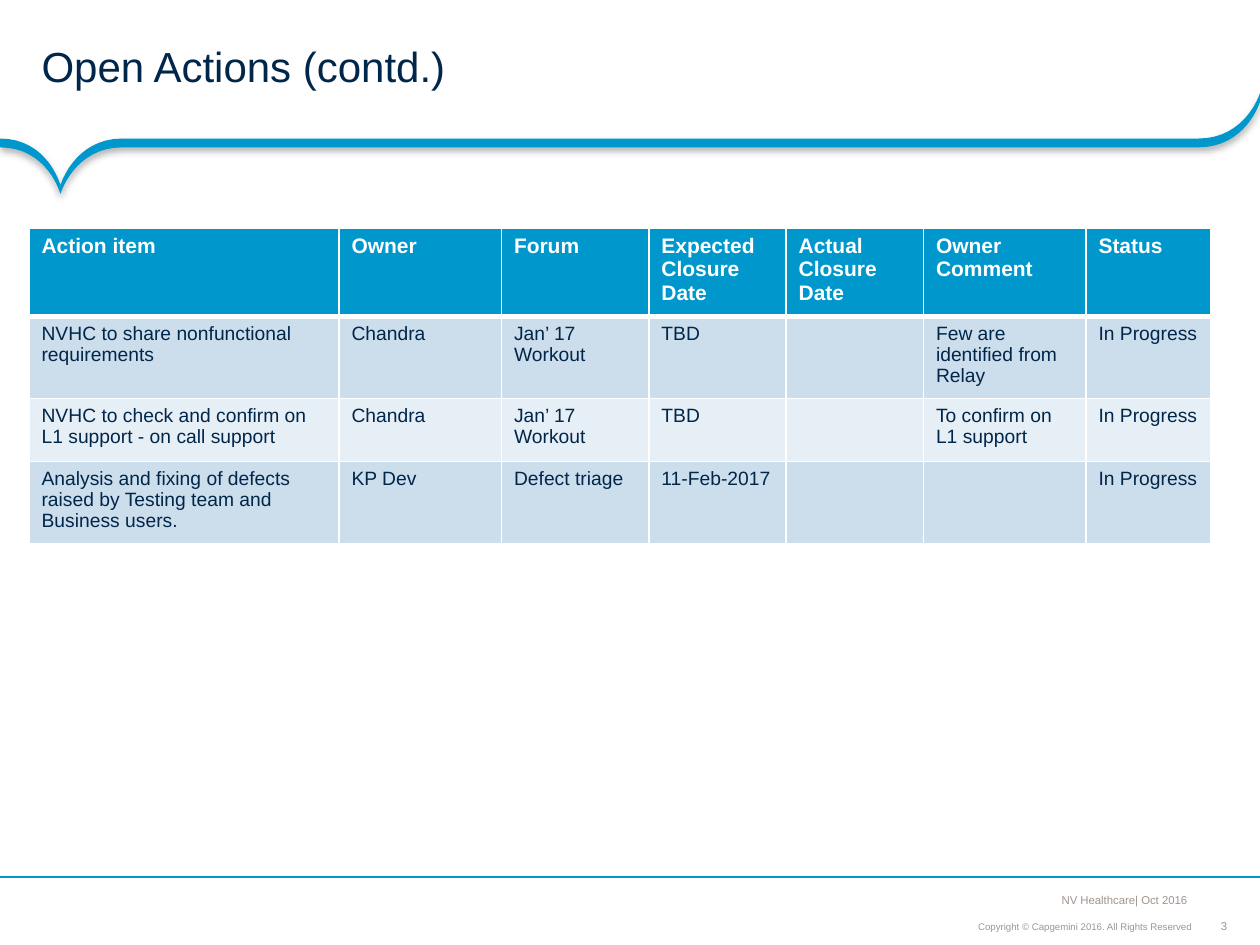
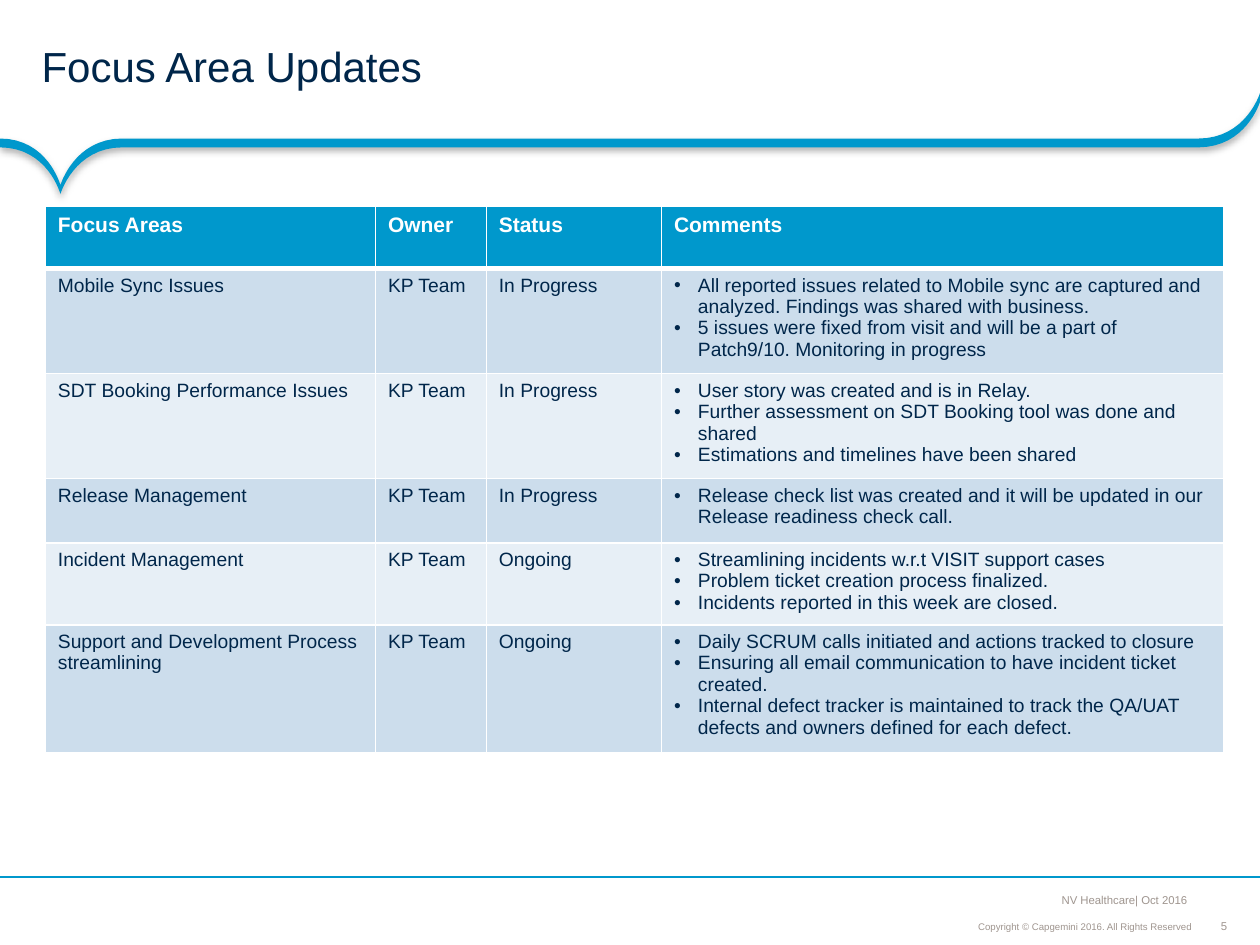
from lxml import etree
from pptx import Presentation
from pptx import util as u
from pptx.dml.color import RGBColor
from pptx.enum import shapes, text
from pptx.oxml.ns import qn

BLUE, NAVY, GREY, WHITE = "0098CC", "00264A", "9F958F", "FFFFFF"
BANDS = ("CCDDEC", "E7EFF6")
FONT = "Arial"
INDENT = 0.19
FOOTER_INSETS = (0.04, 0.04, 0.04, 0.04)
COPYRIGHT = "Copyright © Capgemini 2016. All Rights Reserved"
CLIENT = "NV Healthcare| Oct 2016 "

SLIDES = [
    {
        "title": "Open Actions (contd.)",
        "number": "3",
        "origin": (0.23, 1.81),
        "columns": [2.46, 1.29, 1.17, 1.09, 1.09, 1.29, 0.99],
        "heights": [0.48, 0.44, 0.5, 0.42],
        "rows": [
            ["Action item", "Owner", "Forum", "Expected Closure Date",
             "Actual Closure Date", "Owner Comment", "Status"],
            ["NVHC to share nonfunctional requirements", "Chandra", "Jan’ 17 Workout",
             "TBD", "", "Few are identified from Relay", "In Progress"],
            ["NVHC to check and confirm on L1 support - on call support", "Chandra",
             "Jan’ 17 Workout", "TBD", "", "To confirm on L1 support", "In Progress"],
            ["Analysis and fixing of defects raised by Testing team and Business users.",
             "KP Dev", "Defect triage", "11-Feb-2017", "", "", "In Progress"],
        ],
    },
    {
        "title": "Focus Area Updates",
        "number": "5",
        "origin": (0.36, 1.64),
        "columns": [2.62, 0.88, 1.39, 4.46],
        "heights": [0.49, 0.81, 0.78, 0.51, 0.57, 0.75],
        "rows": [
            ["Focus Areas", "Owner", "Status", "Comments"],
            ["Mobile Sync Issues", "KP Team", "In Progress", [
                "All reported issues related to Mobile sync are captured and analyzed. "
                "Findings was shared with business.",
                "5 issues were fixed from visit and will be a part of Patch9/10. "
                "Monitoring in progress"]],
            ["SDT Booking Performance Issues", "KP Team", "In Progress", [
                "User story was created and is in Relay.",
                "Further assessment on SDT Booking tool was done and shared",
                "Estimations and timelines have been shared"]],
            ["Release Management", "KP Team", "In Progress", [
                "Release check list was created and it will be updated in our "
                "Release readiness check call."]],
            ["Incident Management", "KP Team", "Ongoing", [
                "Streamlining incidents w.r.t VISIT support cases",
                "Problem ticket creation process finalized.",
                "Incidents reported in this week are closed."]],
            ["Support and Development Process streamlining", "KP Team", "Ongoing", [
                "Daily SCRUM calls initiated and actions tracked to closure",
                "Ensuring all email communication to have incident ticket created.",
                "Internal defect tracker is maintained to track the QA/UAT defects "
                "and owners defined for each defect."]],
        ],
    },
]


def color(value):
    return RGBColor.from_string(value)


def add_xml(parent, tag, **attributes):
    return etree.SubElement(parent, qn(tag), {k: str(v) for k, v in attributes.items()})


def write(frame, content, size=11, fill=NAVY, bold=False, align="LEFT", spacing=None):
    bulleted = isinstance(content, list)
    for index, line in enumerate(content if bulleted else [content]):
        paragraph = frame.add_paragraph() if index else frame.paragraphs[0]
        if bulleted:
            properties = paragraph._p.get_or_add_pPr()
            properties.set("marL", str(u.Inches(INDENT)))
            properties.set("indent", str(u.Inches(-INDENT)))
            add_xml(properties, "a:buFont", typeface=FONT)
            add_xml(properties, "a:buChar", char="•")
        paragraph.text = line
        paragraph.alignment = text.PP_ALIGN[align]
        if spacing:
            paragraph.line_spacing = spacing
        font = paragraph.font
        font.name, font.size, font.bold = FONT, u.Pt(size), bold
        font.color.rgb = color(fill)


def add_text(slide, content, box, insets, anchor="BOTTOM", wrap=True, **style):
    frame = slide.shapes.add_textbox(*map(u.Inches, box)).text_frame
    frame.word_wrap = wrap
    frame.vertical_anchor = text.MSO_ANCHOR[anchor]
    (frame.margin_left, frame.margin_top,
     frame.margin_right, frame.margin_bottom) = map(u.Inches, insets)
    write(frame, content, **style)


def curve(start, control, end, steps=16):
    points = []
    for step in range(steps + 1):
        t = step / steps
        weights = (1 - t) ** 3, 3 * t * (1 - t) ** 2, 3 * t * t * (1 - t) + t ** 3
        points.append(tuple(sum(w * p[axis] for w, p in zip(weights, (start, control, end)))
                            for axis in (0, 1)))
    return points


def ribbon_edge(y):
    tip = (0.48, y + 0.37)
    return (curve((0, y), (0.38, y), tip)
            + curve((0.97, y), (0.59, y), tip)[::-1]
            + curve((9.51, y), (9.89, y), (10, y - 0.36)))


def add_ribbon(slide):
    outline = [tuple(map(u.Inches, point))
               for point in ribbon_edge(1.1) + ribbon_edge(1.17)[::-1]]
    builder = slide.shapes.build_freeform(*outline[0])
    builder.add_line_segments(outline[1:], close=True)
    ribbon = builder.convert_to_shape()
    ribbon.fill.solid()
    ribbon.fill.fore_color.rgb = color(BLUE)
    ribbon.line.fill.background()
    ribbon.shadow.inherit = False
    effects = ribbon._element.spPr.find(qn("a:effectLst"))
    shadow = add_xml(effects, "a:outerShdw", blurRad=u.Pt(4), dist=u.Pt(2),
                     dir=90 * 60000, algn="t", rotWithShape=0)
    add_xml(add_xml(shadow, "a:srgbClr", val="000000"), "a:alpha", val=31000)


def add_footer(slide, number):
    rule = slide.shapes.add_connector(
        shapes.MSO_CONNECTOR.STRAIGHT, *map(u.Inches, (10, 6.96, 0, 6.96)))
    rule.line.color.rgb = color(BLUE)
    rule.line.width = u.Pt(0.75)
    add_xml(rule._element.spPr, "a:effectLst")
    add_text(slide, number, (9.66, 7.29, 0.11, 0.11), (0, 0, 0, 0), anchor="MIDDLE",
             wrap=False, size=6.5, fill=GREY, align="CENTER")
    add_text(slide, COPYRIGHT, (6.81, 7.24, 2.69, 0.2), FOOTER_INSETS,
             size=5.5, fill=GREY, align="RIGHT", spacing=0.9)
    add_text(slide, CLIENT, (7.56, 7.03, 1.93, 0.21), FOOTER_INSETS,
             wrap=False, size=6.5, fill=GREY, align="RIGHT")


def set_borders(cell, top, bottom):
    properties = cell._tc.get_or_add_tcPr()
    for side, width in (("L", 1), ("R", 1), ("T", top), ("B", bottom)):
        line = add_xml(properties, f"a:ln{side}", w=u.Pt(width))
        add_xml(add_xml(line, "a:solidFill"), "a:srgbClr", val=WHITE)


def add_grid(slide, origin, columns, heights, rows):
    box = (*origin, sum(columns), sum(heights))
    table = slide.shapes.add_table(len(rows), len(columns), *map(u.Inches, box)).table
    for column, width in zip(table.columns, columns):
        column.width = u.Inches(width)
    for row_index, (row, height) in enumerate(zip(rows, heights)):
        table.rows[row_index].height = u.Inches(height)
        header = row_index == 0
        for column_index, content in enumerate(row):
            cell = table.cell(row_index, column_index)
            set_borders(cell, top=3 if row_index == 1 else 1, bottom=3 if header else 1)
            cell.fill.solid()
            cell.fill.fore_color.rgb = color(BLUE if header else BANDS[(row_index - 1) % 2])
            style = {"size": 12, "fill": WHITE, "bold": True} if header else {}
            write(cell.text_frame, content, **style)


def main():
    presentation = Presentation()
    presentation.slide_width, presentation.slide_height = u.Inches(10), u.Inches(7.5)
    for page in SLIDES:
        slide = presentation.slides.add_slide(presentation.slide_layouts[6])
        add_ribbon(slide)
        add_footer(slide, page["number"])
        add_text(slide, page["title"], (0, 0, 10, 1.1), (0.33, 0.04, 0.18, 0.04),
                 anchor="MIDDLE", size=24, spacing=0.85)
        add_grid(slide, page["origin"], page["columns"], page["heights"], page["rows"])
    presentation.save("out.pptx")


if __name__ == "__main__":
    main()
